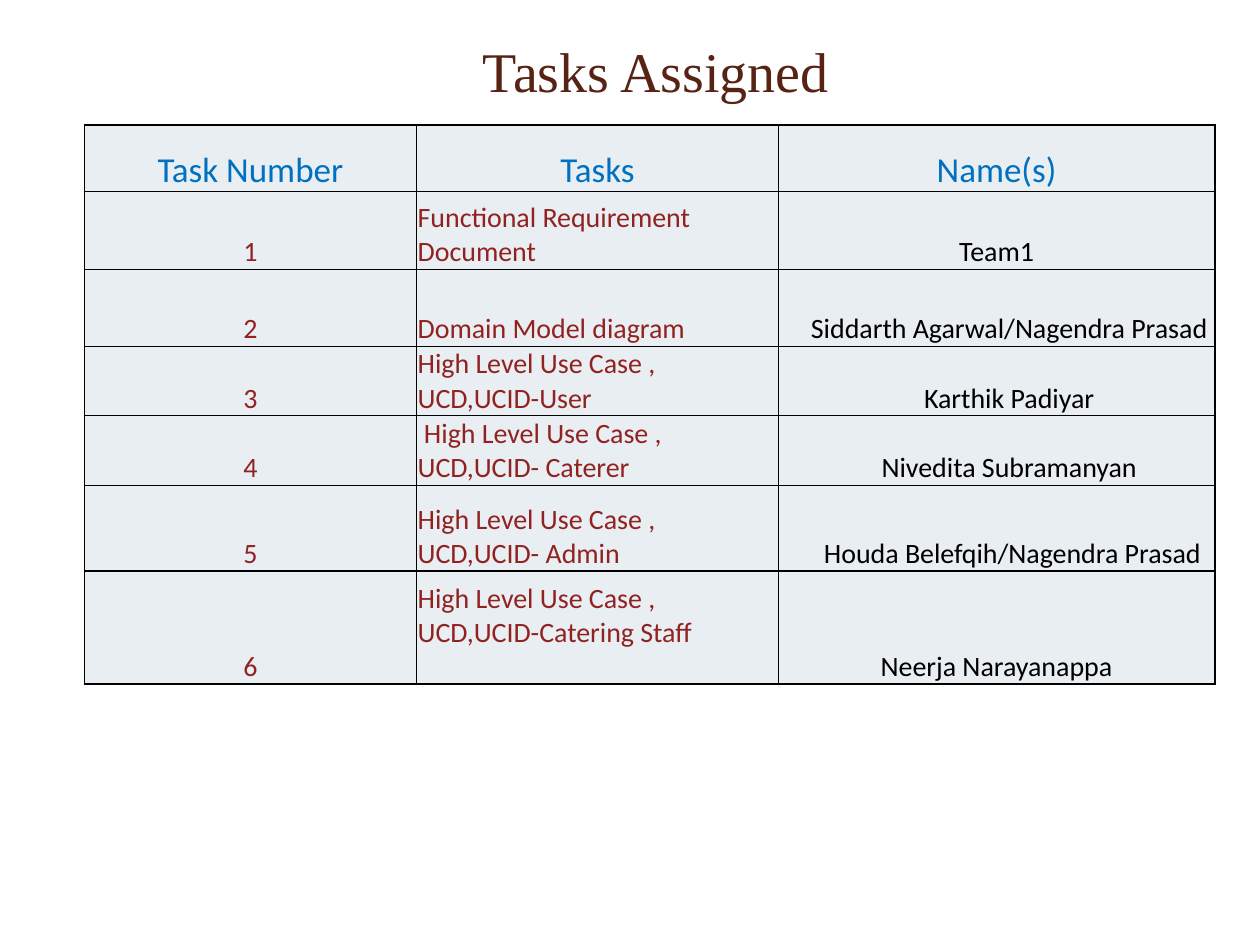
from dataclasses import dataclass

from lxml import etree
from pptx import Presentation
from pptx import util as u
from pptx.dml.color import RGBColor
from pptx.enum import text as t
from pptx.oxml.ns import qn


@dataclass(frozen=True)
class Theme:
    title_font: str = "Times New Roman"
    body_font: str = "Calibri"
    title_size: int = 32
    header_size: int = 20
    body_size: int = 16
    title: str = "572314"
    header: str = "0070C0"
    task: str = "922222"
    name: str = "000000"
    cell: str = "E8EEF1"
    border: str = "000000"
    border_width: int = 1


THEME = Theme()
HEADINGS = ("Task Number", "Tasks", "Name(s)")
# Task, name(s), left indent of the name in cm
ASSIGNMENTS = (
    ("Functional Requirement Document", "Team1", 0),
    ("Domain Model diagram", "Siddarth Agarwal/Nagendra Prasad", 0.51),
    ("High Level Use Case , UCD,UCID-User", "Karthik Padiyar", 0.51),
    (" High Level Use Case , UCD,UCID- Caterer", "Nivedita Subramanyan", 0.51),
    ("High Level Use Case , UCD,UCID- Admin", "Houda Belefqih/Nagendra Prasad", 0.64),
    ("High Level Use Case , UCD,UCID-Catering Staff", "Neerja Narayanappa", 0),
)
COLUMN_WIDTHS = (6.7, 7.29, 8.8)
ROW_HEIGHTS = (1.34, 1.57, 1.55, 1.4, 1.4, 1.73, 2.28)
LAST_TASK_GAP = 0.69
CENTER, LEFT = t.PP_ALIGN.CENTER, t.PP_ALIGN.LEFT


def add_run(paragraph, words, font, size, color):
    run = paragraph.add_run()
    run.text = words
    run.font.name = font
    run.font.size = u.Pt(size)
    run.font.color.rgb = RGBColor.from_string(color)


def draw_borders(cell):
    properties = cell._tc.get_or_add_tcPr()
    for position, side in enumerate(("lnL", "lnR", "lnT", "lnB")):
        line = etree.Element(qn(f"a:{side}"), w=str(u.Pt(THEME.border_width)))
        fill = etree.SubElement(line, qn("a:solidFill"))
        etree.SubElement(fill, qn("a:srgbClr"), val=THEME.border)
        properties.insert(position, line)


def fill_cell(cell, words, size, color, align=CENTER, indent=0, gap_below=0):
    cell.fill.solid()
    cell.fill.fore_color.rgb = RGBColor.from_string(THEME.cell)
    draw_borders(cell)
    cell.vertical_anchor = t.MSO_ANCHOR.BOTTOM
    cell.margin_left = cell.margin_right = cell.margin_top = u.Cm(0.02)
    cell.margin_bottom = u.Cm(gap_below)
    paragraph = cell.text_frame.paragraphs[0]
    paragraph.alignment = align
    if indent:
        paragraph._p.get_or_add_pPr().set("marL", str(u.Cm(indent)))
    add_run(paragraph, words, THEME.body_font, size, color)


def place_title(slide, left, top, width, height):
    title = slide.shapes.title
    title.left, title.top = u.Cm(left), u.Cm(top)
    title.width, title.height = u.Cm(width), u.Cm(height)
    frame = title.text_frame
    frame.auto_size = t.MSO_AUTO_SIZE.NONE
    frame.vertical_anchor = t.MSO_ANCHOR.BOTTOM
    heading = frame.paragraphs[0]
    heading.alignment = CENTER
    add_run(heading, "Tasks Assigned", THEME.title_font, THEME.title_size, THEME.title)


def place_assignments(slide, left, top):
    table = slide.shapes.add_table(
        len(ROW_HEIGHTS), len(COLUMN_WIDTHS), u.Cm(left), u.Cm(top),
        u.Cm(sum(COLUMN_WIDTHS)), u.Cm(sum(ROW_HEIGHTS))).table
    table.first_row = table.horz_banding = False
    for column, width in zip(table.columns, COLUMN_WIDTHS):
        column.width = u.Cm(width)
    for row, height in zip(table.rows, ROW_HEIGHTS):
        row.height = u.Cm(height)

    # Header row
    for column, words in enumerate(HEADINGS):
        fill_cell(table.cell(0, column), words, THEME.header_size, THEME.header)

    # One row per task
    for number, (task, name, indent) in enumerate(ASSIGNMENTS, 1):
        gap = LAST_TASK_GAP if number == len(ASSIGNMENTS) else 0
        fill_cell(table.cell(number, 0), str(number), THEME.body_size, THEME.task)
        fill_cell(table.cell(number, 1), task, THEME.body_size, THEME.task,
                  LEFT, gap_below=gap)
        fill_cell(table.cell(number, 2), name, THEME.body_size, THEME.name,
                  indent=indent)


deck = Presentation()
deck.slide_width, deck.slide_height = u.Cm(25.4), u.Cm(19.05)
tasks_slide = deck.slides.add_slide(deck.slide_layouts[5])
place_title(tasks_slide, 3.7, 0.74, 19.05, 1.47)
place_assignments(tasks_slide, 1.7, 2.52)
deck.save("out.pptx")
